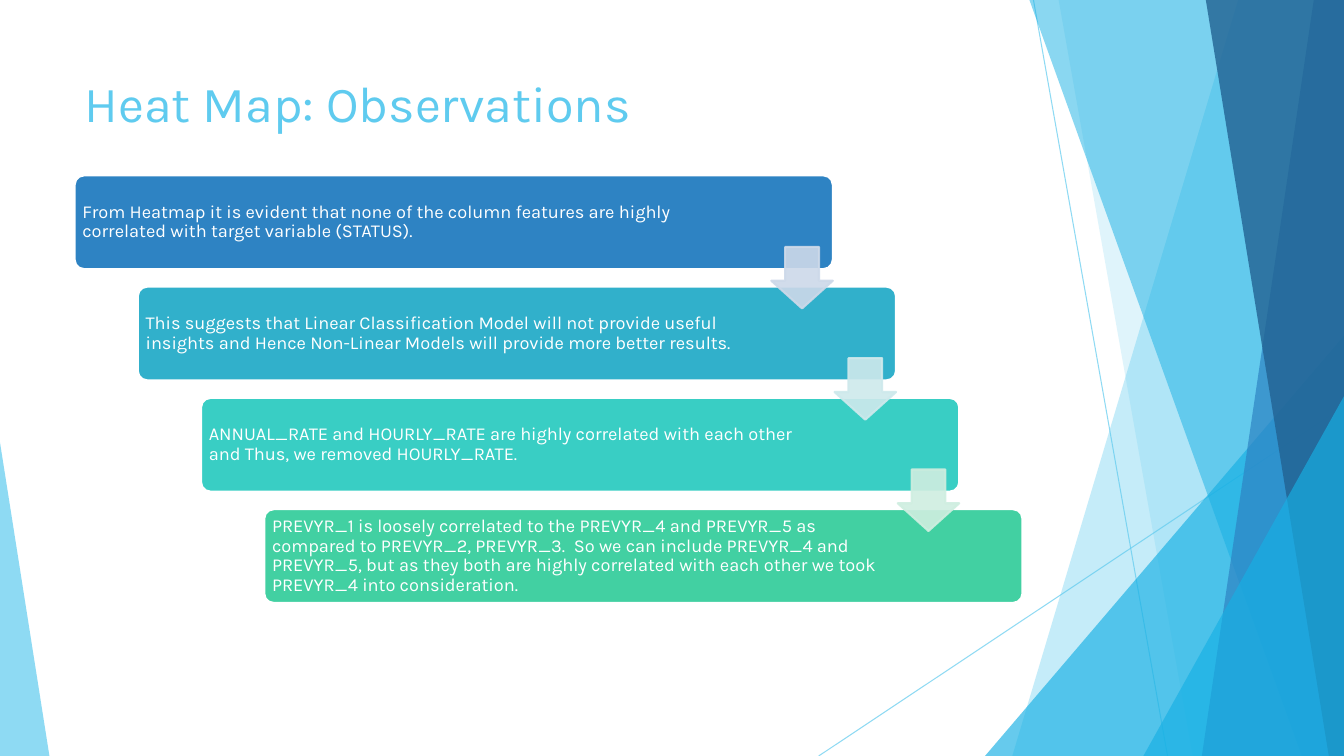
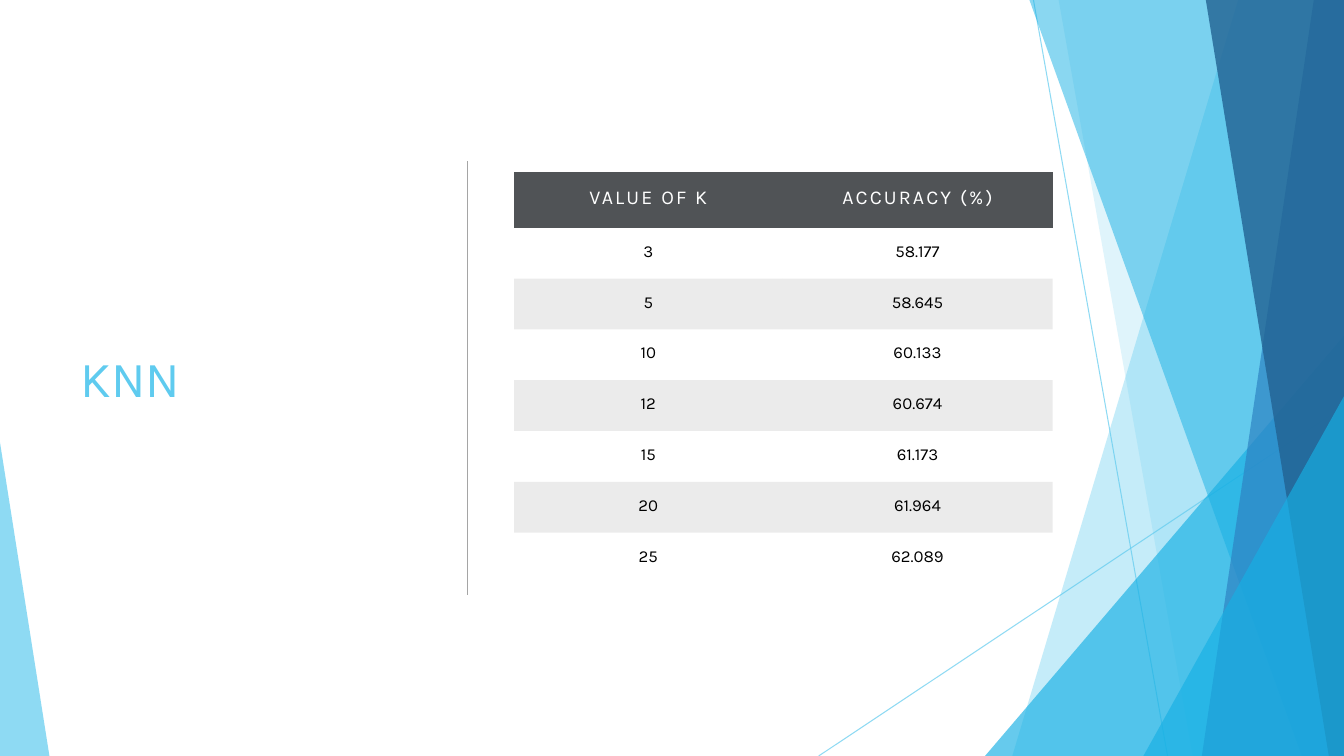
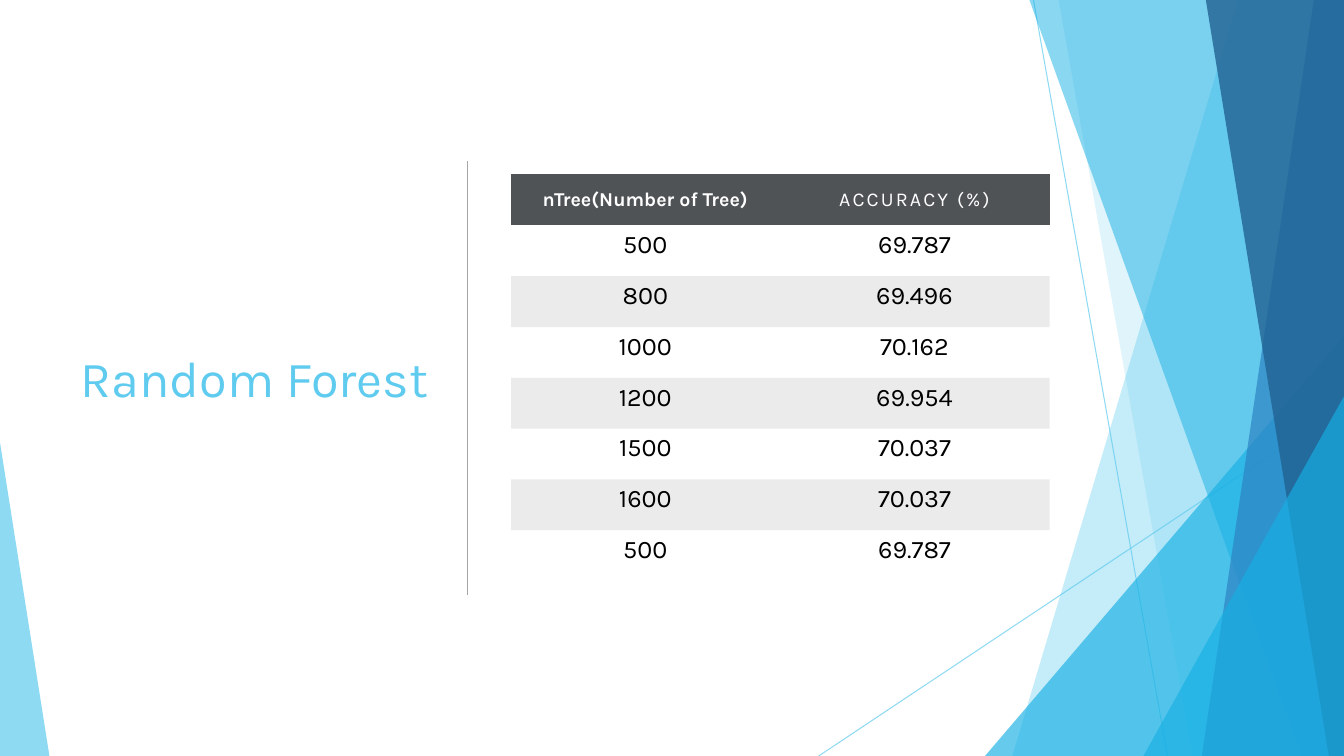
import pptx
import pptx.util
import pptx.dml.color
import pptx.enum.shapes
import pptx.enum.text
import pptx.oxml.ns
import pptx.oxml.xmlchemy

SHAPE = pptx.enum.shapes.MSO_SHAPE
ANCHOR = pptx.enum.text.MSO_ANCHOR
ALIGN = pptx.enum.text.PP_ALIGN
WIDE, HIGH = 133.3, 75
SKY, CYAN, BLUE, NAVY = "5FCBEF", "17B0E4", "2E83C3", "226292"
WHITE, BLACK, SLATE, GREY = "FFFFFF", "000000", "505356", "A5A5A5"
PLAIN = "{2D5ABB26-0587-4C30-8999-92F81FD0307C}"


def cells(count):
    return pptx.util.Inches(count / 10)


def hue(code):
    return pptx.dml.color.RGBColor.from_string(code)


def fade(node, share):
    for color in node.iter(pptx.oxml.ns.qn("a:srgbClr")):
        alpha = pptx.oxml.xmlchemy.OxmlElement("a:alpha")
        alpha.set("val", str(share * 1000))
        color.append(alpha)


def say(frame, text, size=12, color=BLACK, bold=False, track=0,
        align=ALIGN.LEFT, anchor=ANCHOR.TOP, space=1.0):
    frame.word_wrap = True
    frame.vertical_anchor = anchor
    para = frame.paragraphs[0]
    para.alignment = align
    para.line_spacing = space
    run = para.add_run()
    run.text = text
    font = run.font
    font.name = "Karla"
    font.size = pptx.util.Pt(size)
    font.bold = bold
    font.color.rgb = hue(color)
    if track:
        run._r.get_or_add_rPr().set("spc", str(int(track * 100)))


class Deck:
    def __init__(self):
        self.file = pptx.Presentation()
        self.file.slide_width = cells(WIDE)
        self.file.slide_height = cells(HIGH)
        self.base = self.file.slide_layouts[5]
        self.slide = None

    def page(self, title, left, top, width, height, anchor):
        self.slide = self.file.slides.add_slide(self.base)
        head = self.slide.shapes.title
        head.left, head.top = cells(left), cells(top)
        head.width, head.height = cells(width), cells(height)
        head.text_frame.auto_size = pptx.enum.text.MSO_AUTO_SIZE.NONE
        say(head.text_frame, title, size=36, color=SKY, anchor=anchor)

    def paint(self, shape, color, share=100, edge=None):
        shape.shadow.inherit = False
        shape.fill.solid()
        shape.fill.fore_color.rgb = hue(color)
        if edge:
            shape.line.color.rgb = hue(edge)
            shape.line.width = pptx.util.Pt(1.5)
        else:
            shape.line.fill.background()
        if share < 100:
            fade(shape.element.spPr, share)
        return shape

    def shape(self, kind, left, top, width, height, color, adjust, **look):
        shape = self.slide.shapes.add_shape(
            kind, cells(left), cells(top), cells(width), cells(height))
        for index, value in enumerate(adjust):
            shape.adjustments[index] = value
        return self.paint(shape, color, **look)

    def line(self, left, top, right, bottom, color=SKY, share=100):
        line = self.slide.shapes.add_connector(
            pptx.enum.shapes.MSO_CONNECTOR.STRAIGHT,
            cells(left), cells(top), cells(right), cells(bottom))
        line.line.color.rgb = hue(color)
        line.line.width = pptx.util.Pt(0.75)
        props = line.element.spPr
        props.append(pptx.oxml.xmlchemy.OxmlElement("a:effectLst"))
        if share < 100:
            fade(props, share)
        return line

    def band(self, top, foot, color, share):
        form = self.slide.shapes.build_freeform(cells(top), 0)
        form.add_line_segments([
            (cells(x), cells(y))
            for x, y in ((WIDE, 0), (WIDE, HIGH), (foot, HIGH))], close=True)
        return self.paint(form.convert_to_shape(), color, share)

    def peak(self, left, top, width, color, share, tip=1):
        return self.shape(SHAPE.ISOSCELES_TRIANGLE, left, top, width,
                          HIGH - top, color, [tip], share=share)

    def decor(self):
        parts = [
            self.line(102.5, 0, 115.8, HIGH, share=70),
            self.line(WIDE, 40.3, 81.2, HIGH, share=70),
            self.band(122.8, 100.4, SKY, 36),
            self.band(105, 118.3, SKY, 20),
            self.peak(97.7, 33.3, 35.6, CYAN, 66),
            self.band(102.1, 129.1, CYAN, 50),
            self.band(130.3, 119.2, BLUE, 70),
            self.band(119.6, 131.8, NAVY, 80),
            self.peak(113.4, 39.3, 19.9, CYAN, 66),
            self.peak(0, 43.9, 4.9, SKY, 70, tip=0),
        ]
        tree = self.base.shapes.element
        for holder in list(self.base.placeholders):
            if holder.placeholder_format.idx:
                tree.remove(holder.element)
        for index, part in enumerate(parts):
            tree.insert(2 + index, part.element)

    def step(self, left, top, color, text):
        box = self.shape(SHAPE.ROUNDED_RECTANGLE, left, top, 75.2, 9.3,
                         color, [0.1], edge=WHITE)
        frame = box.text_frame
        frame.margin_left = frame.margin_top = frame.margin_bottom = cells(0.5)
        frame.margin_right = cells(12.8)
        say(frame, text, size=13, color=WHITE, anchor=ANCHOR.MIDDLE, space=0.9)

    def arrow(self, left, top, color):
        self.shape(SHAPE.DOWN_ARROW, left, top, 6.1, 6.1, color,
                   [0.55, 0.45], share=90, edge=color)

    def table(self, left, top, first, heads, rows, size, inset):
        high = 5.04
        table = self.slide.shapes.add_table(
            len(rows) + 1, 2, cells(left), cells(top), cells(53.4),
            cells(first + high * len(rows))).table
        table.first_row = table.horz_banding = False
        table._tbl.tblPr.find(pptx.oxml.ns.qn("a:tableStyleId")).text = PLAIN
        for col, width in zip(table.columns, (26.6, 26.8)):
            col.width = cells(width)
        for index, row in enumerate(table.rows):
            row.height = cells(high if index else first)
        for col, (text, look) in enumerate(heads):
            self.cell(table.cell(0, col), text, SLATE, 1.4,
                      size=14, color=WHITE, **look)
        for index, row in enumerate(rows, 1):
            for col, text in enumerate(row):
                cell = table.cell(index, col)
                fill = None if index % 2 else BLACK
                self.cell(cell, text, fill, inset, size=size)
                if fill:
                    fade(cell._tc.tcPr, 8)

    def cell(self, cell, text, fill, inset, **look):
        if inset:
            cell.margin_left = cell.margin_right = cells(inset)
            cell.margin_top = cell.margin_bottom = cells(inset)
        if fill:
            cell.fill.solid()
            cell.fill.fore_color.rgb = hue(fill)
        else:
            cell.fill.background()
        cell.vertical_anchor = ANCHOR.TOP
        say(cell.text_frame, text, align=ALIGN.CENTER, **look)

    def score(self, title, *grid):
        self.page(title, 7, 8.9, 36.8, 57.1, ANCHOR.MIDDLE)
        self.line(46.4, 16, 46.4, 59, GREY)
        self.table(*grid)


STEPS = [
    (BLUE, "From Heatmap it is evident that none of the column features are "
     "highly correlated with target variable (STATUS)."),
    ("31B0CB", "This suggests that Linear Classification Model will not "
     "provide useful insights and Hence Non-Linear Models will provide more "
     "better results."),
    ("39CEC4", "ANNUAL_RATE and HOURLY_RATE are highly correlated with each "
     "other and Thus, we removed HOURLY_RATE."),
    ("42D0A2", "PREVYR_1 is loosely correlated to the PREVYR_4 and PREVYR_5 "
     "as compared to PREVYR_2, PREVYR_3.  So we can include PREVYR_4 and "
     "PREVYR_5, but as they both are highly correlated with each other we "
     "took PREVYR_4 into consideration."),
]
ARROWS = ["CDD9E9", "CEE9EC", "CFEEE0"]
RIGHT, DOWN = 6.27, 11.04
SPACED = {"track": 1.5}
RATE = ("ACCURACY (%)", SPACED)
KNN = [("3", "58.177"), ("5", "58.645"), ("10", "60.133"), ("12", "60.674"),
       ("15", "61.173"), ("20", "61.964"), ("25", "62.089")]
FOREST = [("500", "69.787"), ("800", "69.496"), ("1000", "70.162"),
          ("1200", "69.954"), ("1500", "70.037"), ("1600", "70.037"),
          ("500", "69.787")]


def main():
    deck = Deck()
    deck.page("Heat Map: Observations", 7.4, 6.7, 94, 14.4, ANCHOR.TOP)
    deck.decor()
    for index, (color, text) in enumerate(STEPS):
        deck.step(7.4 + RIGHT * index, 17.4 + DOWN * index, color, text)
    for index, color in enumerate(ARROWS):
        deck.arrow(76.5 + RIGHT * index, 24.5 + DOWN * index, color)
    deck.score("KNN", 51, 17.1, 5.5, [("VALUE OF K", SPACED), RATE],
               KNN, 12, 1.4)
    deck.score("Random Forest", 50.7, 17.3, 5,
               [("nTree(Number of Tree)", {"bold": True}), RATE],
               FOREST, 18, None)
    deck.file.save("out.pptx")


if __name__ == "__main__":
    main()
